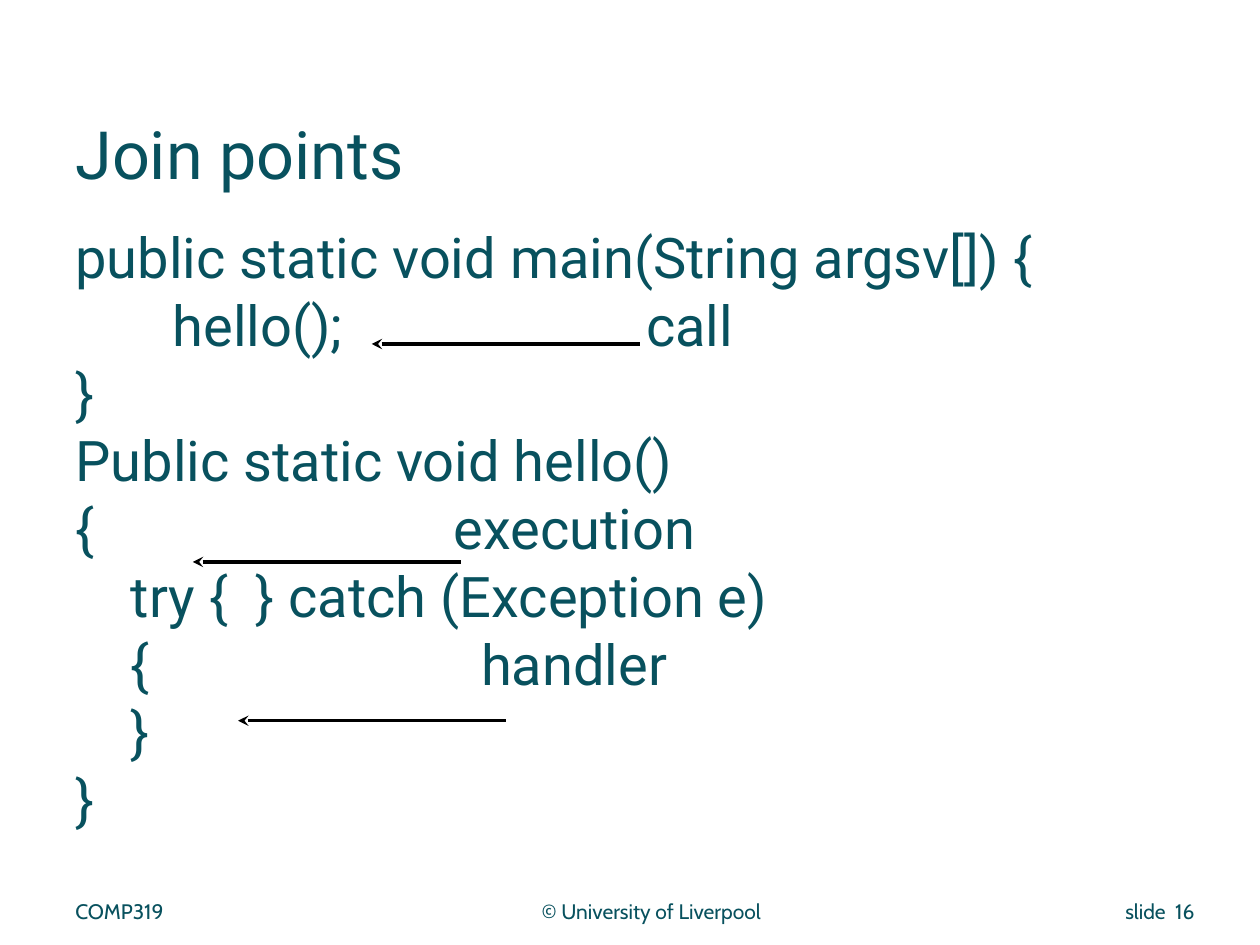
import pptx
import pptx.util
import pptx.dml.color
import pptx.enum.text
import pptx.enum.shapes
from lxml import etree

Inches, Pt = pptx.util.Inches, pptx.util.Pt
ALIGN = pptx.enum.text.PP_ALIGN
ANCHOR = pptx.enum.text.MSO_ANCHOR
A = "http://schemas.openxmlformats.org/drawingml/2006/main"

TEAL, BLACK = "08515E", "000000"

# Content: code lines with an optional label and its tab position
TITLE = "Join points"
CODE = [
    ("public static void main(String argsv[]) {", None, None),
    ("       hello();", "call", 4.53),
    ("}", None, None),
    ("Public static void hello()", None, None),
    ("{", "execution", 3.0),
    ("    try {  } catch (Exception e)", None, None),
    ("    {", "handler", 3.22),
    ("    }", None, None),
    ("}", None, None),
]
FOOTERS = [
    ("COMP319", (0.5, 7.08, 3.33, 0.42), ALIGN.LEFT),
    ("© University of Liverpool", (4, 7.08, 2.34, 0.42), ALIGN.CENTER),
    ("slide  16", (8.08, 7.08, 1.5, 0.33), ALIGN.RIGHT),
]
ARROWS = [(2.95, 2.73), (1.53, 4.46), (1.89, 5.72)]  # arrow tips
ARROW_LENGTH = 2.13


def rgb(color):
    return pptx.dml.color.RGBColor.from_string(color)


def add_text(s, lines, box, size, font="Roboto", align=ALIGN.LEFT,
             anchor=ANCHOR.TOP, spacing=None, before=0):
    sp = s.shapes.add_textbox(*map(Inches, box))
    tf = sp.text_frame
    tf.word_wrap = True
    tf.vertical_anchor = anchor
    for i, (text, label, tab) in enumerate(lines):
        p = tf.paragraphs[0] if i == 0 else tf.add_paragraph()
        p.alignment = align
        if spacing:
            p.line_spacing = spacing
        p.space_before = Pt(before if i else 0)
        if label:
            tabs = etree.SubElement(p._p.get_or_add_pPr(), f"{{{A}}}tabLst")
            etree.SubElement(tabs, f"{{{A}}}tab", pos=str(Inches(tab)), algn="l")
            text = f"{text}\t{label}"
        r = p.add_run()
        r.text = text
        r.font.name = font
        r.font.size = Pt(size)
        r.font.color.rgb = rgb(TEAL)


def add_arrow(s, x, y):
    line = s.shapes.add_connector(
        pptx.enum.shapes.MSO_CONNECTOR.STRAIGHT,
        Inches(x), Inches(y), Inches(x + ARROW_LENGTH), Inches(y))
    line.line.width = Pt(2)
    line.line.color.rgb = rgb(BLACK)
    etree.SubElement(line.line._get_or_add_ln(), f"{{{A}}}headEnd", type="stealth")
    etree.SubElement(line._element.spPr, f"{{{A}}}effectLst")


prs = pptx.Presentation()
prs.slide_width, prs.slide_height = Inches(10), Inches(7.5)
s = prs.slides.add_slide(prs.slide_layouts[6])

# Title and code
add_text(s, [(TITLE, None, None)], (0.5, 0.85, 9, 0.72), 38, anchor=ANCHOR.MIDDLE)
add_text(s, CODE, (0.5, 1.82, 8.58, 5), 32, spacing=0.8, before=8)

# Footer
for text, box, align in FOOTERS:
    add_text(s, [(text, None, None)], box, 12, font="Cabin", align=align)

# Arrows from the labels to the join points
for x, y in ARROWS:
    add_arrow(s, x, y)

prs.save("out.pptx")
